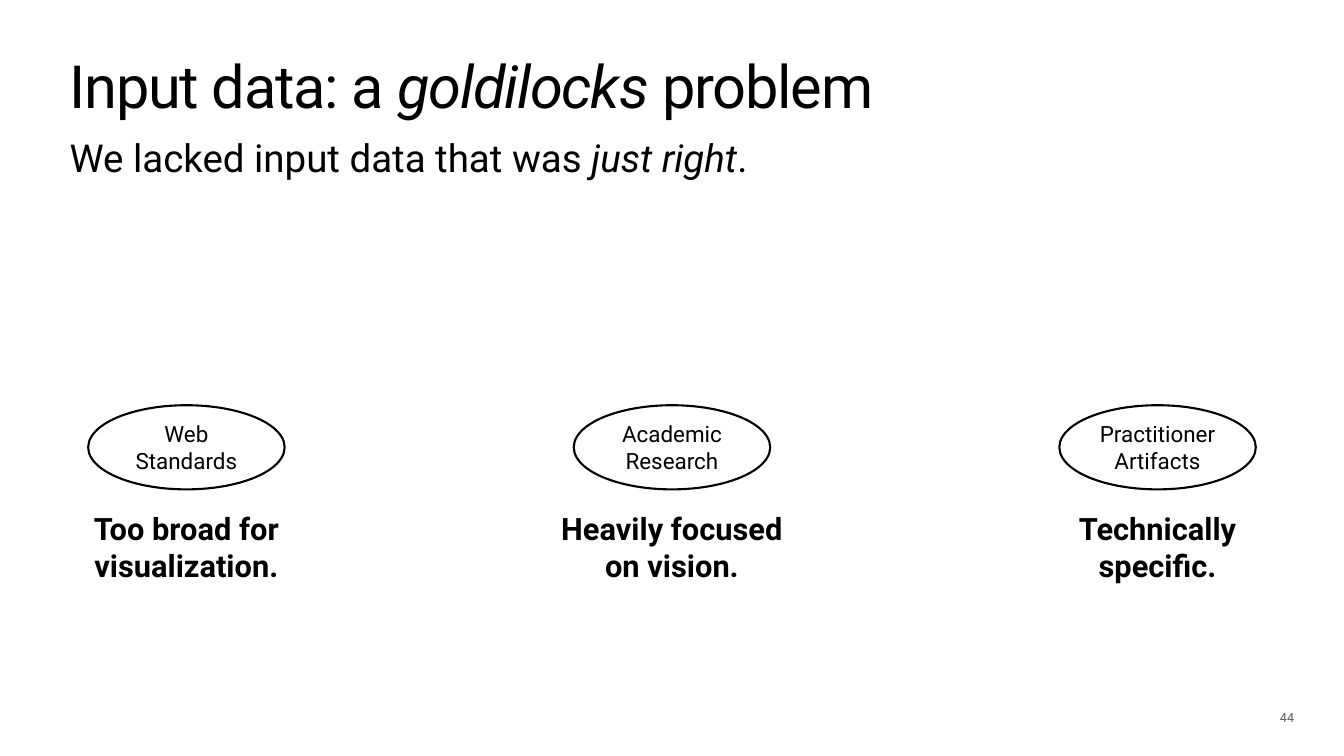
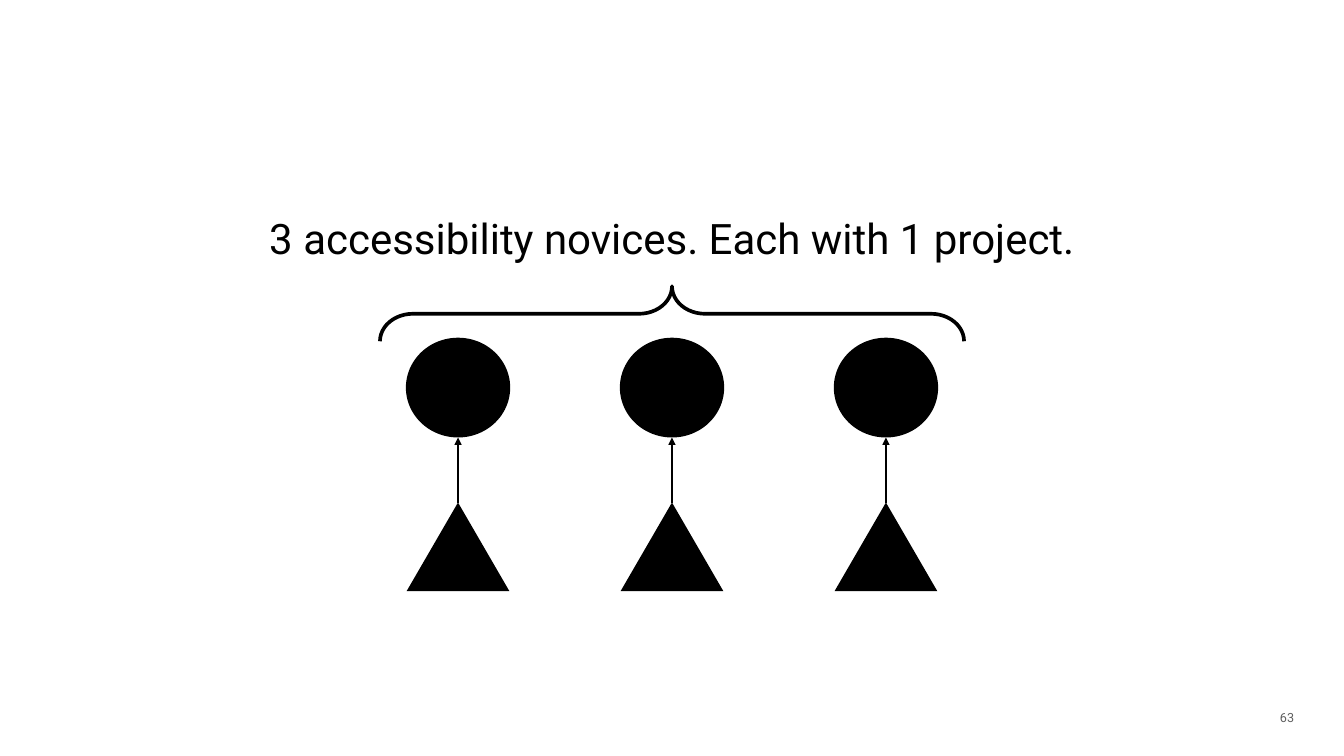
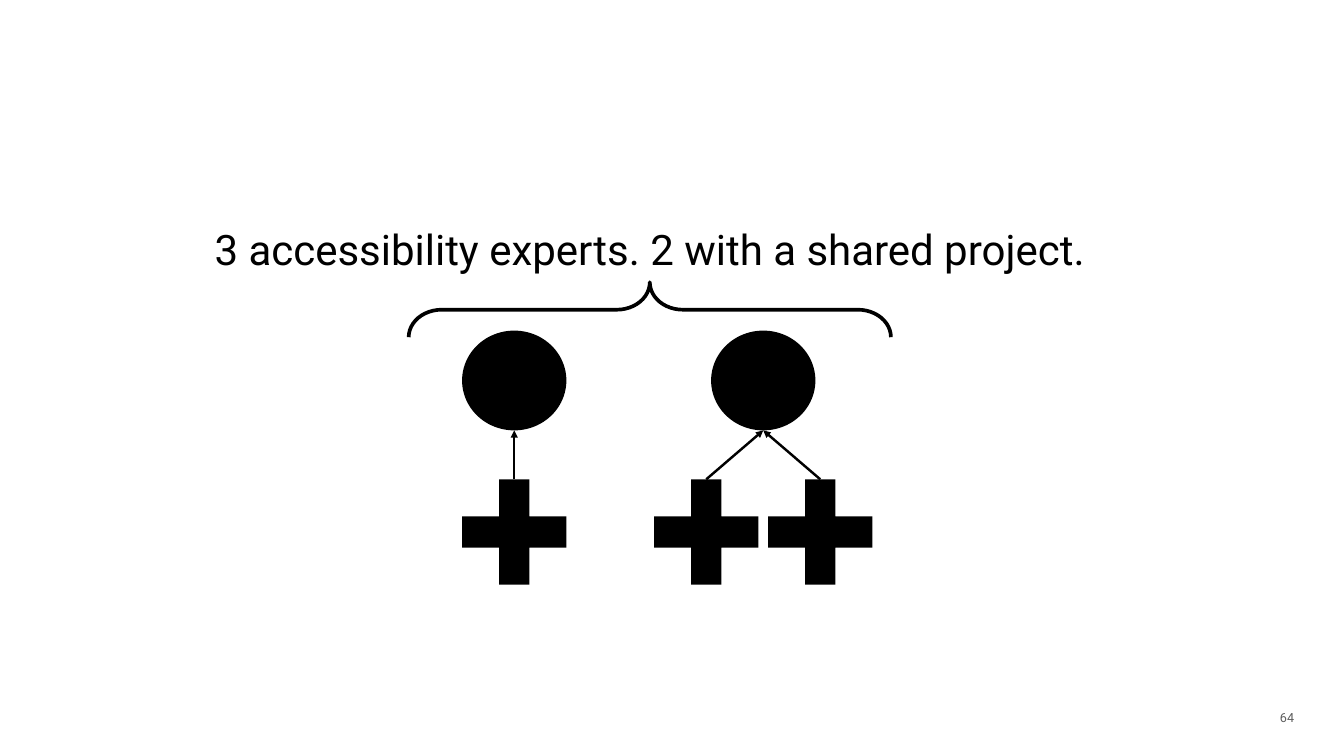
import dataclasses
import typing

import pptx
import pptx.dml.color
import pptx.enum.shapes
import pptx.enum.text
import pptx.oxml.ns
import pptx.util
from lxml import etree

# Shared look
BLACK = pptx.dml.color.RGBColor(0x00, 0x00, 0x00)
GREY = pptx.dml.color.RGBColor(0x5E, 0x5E, 0x5E)
FONT = "Roboto"
SLIDE_W = pptx.util.Inches(26.67)
SLIDE_H = pptx.util.Inches(15)
INSET = pptx.util.Inches(0.06)

SHAPE = pptx.enum.shapes.MSO_SHAPE
ALIGN = pptx.enum.text.PP_ALIGN
ANCHOR = pptx.enum.text.MSO_ANCHOR


@dataclasses.dataclass(frozen=True)
class Box:
    """A rectangle in percent of the slide: centre x, top, width, height."""
    cx: float
    top: float
    w: float
    h: float

    @property
    def bottom(self) -> float:
        return self.top + self.h

    def emu(self) -> tuple[int, int, int, int]:
        return (across(self.cx - self.w / 2), down(self.top),
                across(self.w), down(self.h))


@dataclasses.dataclass(frozen=True)
class TextStyle:
    size: float
    color: pptx.dml.color.RGBColor = BLACK
    bold: bool = False
    align: typing.Any = ALIGN.CENTER
    anchor: typing.Any = ANCHOR.MIDDLE
    line_spacing: float = 1.0
    tracking: int = 0  # hundredths of a point


TITLE = TextStyle(85, align=ALIGN.LEFT, anchor=ANCHOR.TOP,
                  line_spacing=0.8, tracking=-170)
SUBTITLE = TextStyle(55, align=ALIGN.LEFT, anchor=ANCHOR.TOP)
HEADLINE = TextStyle(60)
CAPTION = TextStyle(44, bold=True)
LABEL = TextStyle(32)
PAGE_NUMBER = TextStyle(18, GREY, align=ALIGN.LEFT, anchor=ANCHOR.TOP)


@dataclasses.dataclass(frozen=True)
class Source:
    label: str
    verdict: str


@dataclasses.dataclass(frozen=True)
class Project:
    """A project (circle) and the people (marks) who work on it."""
    cx: float
    people: tuple[float, ...]


@dataclasses.dataclass(frozen=True)
class Group:
    page: int
    headline: str
    headline_box: Box
    brace_box: Box
    circle_top: float
    person: typing.Any
    person_box: Box
    projects: tuple[Project, ...]


SOURCES = (
    Source("Web Standards", "Too broad for visualization."),
    Source("Academic Research", "Heavily focused on vision."),
    Source("Practitioner Artifacts", "Technically specific."),
)
SOURCE_STEP = 36.13
PROJECT_STEP = 15.92
SHARED_CX = 56.79
PAIR_OFFSET = 4.24
EXPERTS_CX = 48.35

NOVICES = Group(
    page=63,
    headline="3 accessibility novices. Each with 1 project.",
    headline_box=Box(50, 27.67, 64.53, 7.47),
    brace_box=Box(50, 37.87, 43.46, 7.27),
    circle_top=44.67,
    person=SHAPE.ISOSCELES_TRIANGLE,
    person_box=Box(0, 66.47, 7.65, 11.73),
    projects=tuple(Project(cx, (cx,)) for cx in
                   (50 - PROJECT_STEP, 50, 50 + PROJECT_STEP)),
)
EXPERTS = Group(
    page=64,
    headline="3 accessibility experts. 2 with a shared project.",
    headline_box=Box(EXPERTS_CX, 29.13, 65.32, 7.47),
    brace_box=Box(EXPERTS_CX, 37.33, 35.88, 7.27),
    circle_top=43.73,
    person=SHAPE.CROSS,
    person_box=Box(0, 63.4, 7.76, 13.93),
    projects=(
        Project(38.26, (38.26,)),
        Project(SHARED_CX, (SHARED_CX - PAIR_OFFSET, SHARED_CX + PAIR_OFFSET)),
    ),
)


def across(percent: float) -> int:
    return round(SLIDE_W * percent / 100)


def down(percent: float) -> int:
    return round(SLIDE_H * percent / 100)


# Drawing helpers
def write(sp, text: str, style: TextStyle) -> None:
    """Fill a shape with one paragraph; *starred* words are italic."""
    tf = sp.text_frame
    tf.word_wrap = True
    tf.vertical_anchor = style.anchor
    tf.margin_left = tf.margin_right = INSET
    tf.margin_top = tf.margin_bottom = INSET
    p = tf.paragraphs[0]
    p.alignment = style.align
    p.line_spacing = style.line_spacing
    for i, part in enumerate(text.split("*")):
        r = p.add_run()
        r.text = part
        r.font.name = FONT
        r.font.size = pptx.util.Pt(style.size)
        r.font.bold = style.bold
        r.font.italic = i % 2 == 1
        r.font.color.rgb = style.color
        if style.tracking:
            r.font._element.set("spc", str(style.tracking))


def add_text(slide, box: Box, text: str, style: TextStyle):
    sp = slide.shapes.add_textbox(*box.emu())
    write(sp, text, style)
    return sp


def add_solid(slide, kind, box: Box):
    sp = slide.shapes.add_shape(kind, *box.emu())
    sp.shadow.inherit = False
    sp.fill.solid()
    sp.fill.fore_color.rgb = BLACK
    sp.line.fill.background()
    return sp


def add_outline(slide, kind, place: tuple[int, int, int, int], weight: float):
    sp = slide.shapes.add_shape(kind, *place)
    sp.shadow.inherit = False
    sp.fill.background()
    sp.line.color.rgb = BLACK
    sp.line.width = pptx.util.Pt(weight)
    return sp


def add_brace(slide, box: Box) -> None:
    """A brace that opens downwards: a right brace turned by 270 degrees."""
    left, top, w, h = box.emu()
    shift = (w - h) // 2
    sp = add_outline(slide, SHAPE.RIGHT_BRACE,
                     (left + shift, top - shift, h, w), 5.25)
    sp.rotation = 270
    sp.adjustments[0] = 0.6
    sp.adjustments[1] = 0.5


def add_arrow(slide, x1: float, y1: float, x2: float, y2: float) -> None:
    line = slide.shapes.add_connector(
        pptx.enum.shapes.MSO_CONNECTOR.STRAIGHT,
        across(x1), down(y1), across(x2), down(y2))
    line.line.color.rgb = BLACK
    line.line.width = pptx.util.Pt(3.5)
    qn = pptx.oxml.ns.qn
    etree.SubElement(line.line._get_or_add_ln(), qn("a:tailEnd"), type="triangle")
    etree.SubElement(line._element.spPr, qn("a:effectLst"))


def add_slide(prs, page: int):
    """A blank slide with its page number."""
    slide = prs.slides.add_slide(prs.slide_layouts[6])
    sp = add_text(slide, Box(95.31, 93.47, 2.47, 4.67), str(page), PAGE_NUMBER)
    pPr = sp.text_frame.paragraphs[0]._p.get_or_add_pPr()
    pPr.set("marL", str(pptx.util.Inches(0.5)))
    pPr.set("indent", str(-pptx.util.Inches(0.25)))
    return slide


# Slides
def build_sources(prs) -> None:
    slide = add_slide(prs, 44)
    add_text(slide, Box(50, 7.87, 90.1, 10.47),
             "Input data: a *goldilocks* problem", TITLE)
    add_text(slide, Box(50, 17.33, 90.1, 12.73),
             "We lacked input data that was *just right*.", SUBTITLE)
    for i, source in enumerate(SOURCES):
        cx = 50 + (i - 1) * SOURCE_STEP
        sp = add_outline(slide, SHAPE.OVAL, Box(cx, 53.6, 14.62, 11.13).emu(), 3)
        write(sp, source.label, LABEL)
        add_text(slide, Box(cx, 67.07, 18.22, 10.6), source.verdict, CAPTION)


def build_group(prs, group: Group) -> None:
    slide = add_slide(prs, group.page)
    for project in group.projects:
        circle = Box(project.cx, group.circle_top, 7.76, 13.2)
        add_solid(slide, SHAPE.OVAL, circle)
        for cx in project.people:
            person = dataclasses.replace(group.person_box, cx=cx)
            sp = add_solid(slide, group.person, person)
            if group.person == SHAPE.CROSS:
                sp.adjustments[0] = 0.355
            add_arrow(slide, cx, person.top, circle.cx, circle.bottom)
    add_brace(slide, group.brace_box)
    add_text(slide, group.headline_box, group.headline, HEADLINE)


def main() -> None:
    prs = pptx.Presentation()
    prs.slide_width = SLIDE_W
    prs.slide_height = SLIDE_H
    build_sources(prs)
    for group in (NOVICES, EXPERTS):
        build_group(prs, group)
    prs.save("out.pptx")


if __name__ == "__main__":
    main()
